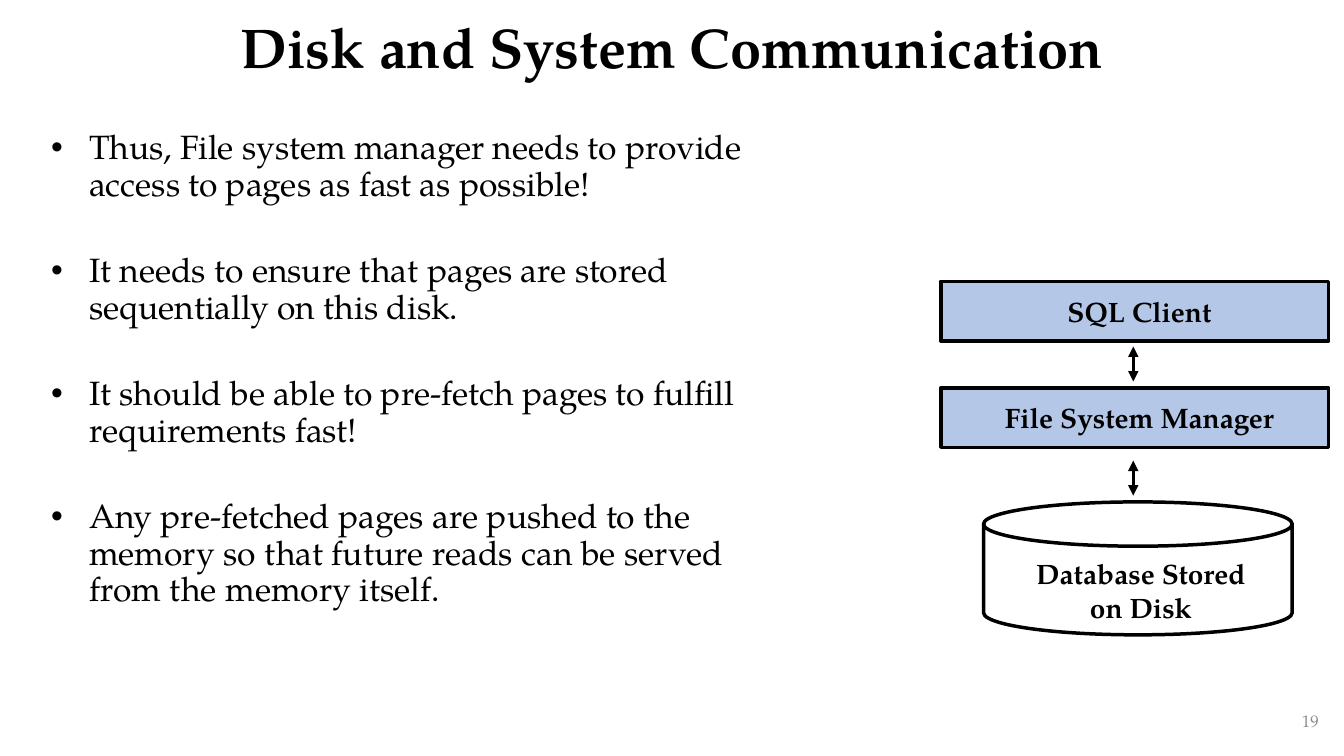
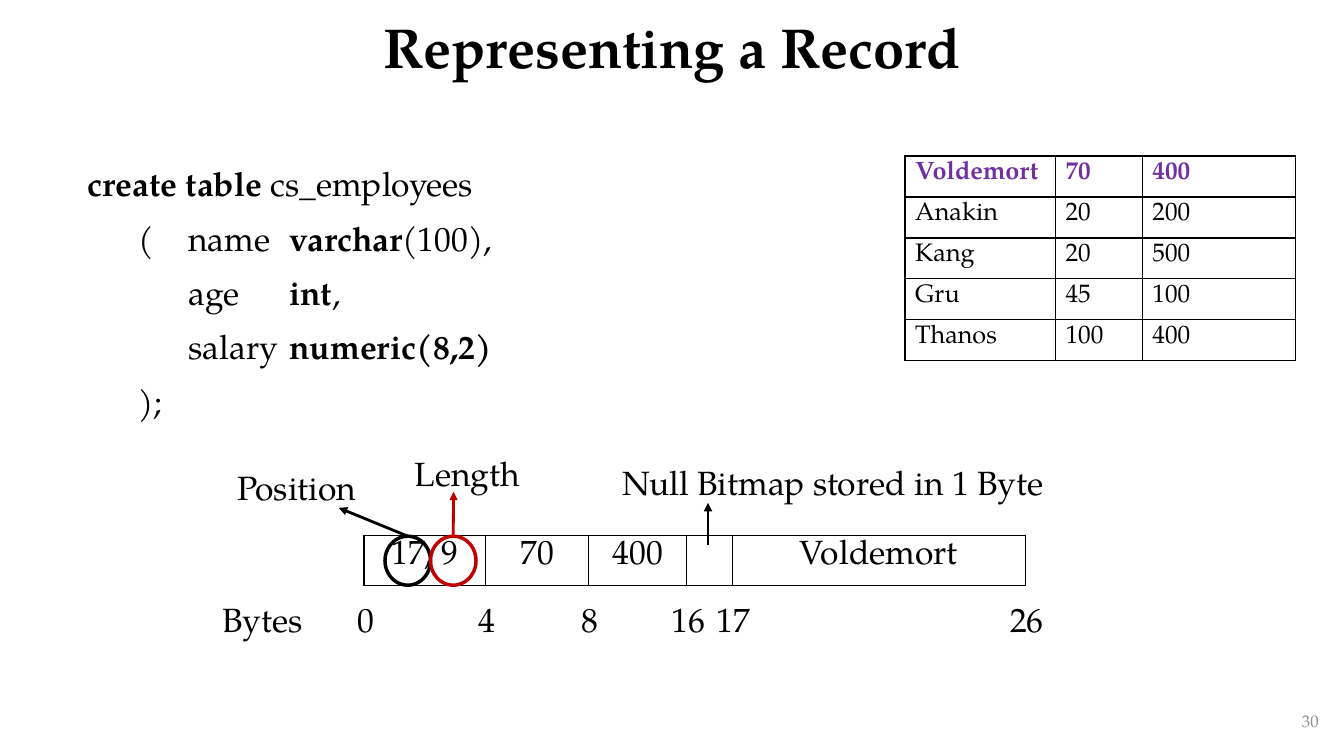
from dataclasses import dataclass
from itertools import accumulate

from lxml.etree import SubElement
from pptx import Presentation
from pptx.dml.color import RGBColor
from pptx.enum.shapes import MSO_CONNECTOR, MSO_SHAPE
from pptx.enum.text import MSO_ANCHOR, PP_ALIGN
from pptx.oxml.ns import qn
from pptx.util import Pt


@dataclass(frozen=True)
class Theme:
    font: str = "TeX Gyre Pagella"
    ink: str = "000000"
    pale: str = "B4C7E7"
    red: str = "C00000"
    violet: str = "7030A0"
    gray: str = "8C8C8C"
    title: int = 40
    body: int = 24
    node: int = 20
    cell: int = 18
    foot: int = 12
    edge: float = 2.5
    arrow: float = 2


T = Theme()


# Shared helpers
def style(para, size, color=T.ink, bold=False, align=None):
    para.alignment = align
    for run in para.runs:
        font = run.font
        font.name, font.size, font.bold = T.font, Pt(size), bold
        font.color.rgb = RGBColor.from_string(color)


def frame(slide, box, anchor=MSO_ANCHOR.TOP, wrap=True):
    area = slide.shapes.add_textbox(*map(Pt, box)).text_frame
    area.word_wrap, area.vertical_anchor = wrap, anchor
    return area


def text(slide, box, words, size, align=PP_ALIGN.CENTER,
         color=T.ink, bold=False, anchor=MSO_ANCHOR.TOP, wrap=True):
    area = frame(slide, box, anchor, wrap)
    area.text = words
    style(area.paragraphs[0], size, color, bold, align)
    return area


def label(slide, mid, top, words, width=100):
    text(slide, (mid - width / 2, top, width, 36), words, T.body, wrap=False)


def shape(slide, kind, box, fill=None, line=T.ink):
    item = slide.shapes.add_shape(kind, *map(Pt, box))
    item.shadow.inherit = False
    if fill:
        item.fill.solid()
        item.fill.fore_color.rgb = RGBColor.from_string(fill)
    else:
        item.fill.background()
    item.line.color.rgb = RGBColor.from_string(line)
    item.line.width = Pt(T.edge)
    return item


def arrow(slide, start, end, color=T.ink, width=T.arrow, both=False, source=None):
    link = slide.shapes.add_connector(
        MSO_CONNECTOR.STRAIGHT, *map(Pt, (*start, *end)))
    if source is not None:
        link.begin_connect(source, 0)
    link.line.color.rgb = RGBColor.from_string(color)
    link.line.width = Pt(width)
    props = link._element.spPr
    line = props.find(qn("a:ln"))
    for tag in ("a:headEnd", "a:tailEnd") if both else ("a:tailEnd",):
        SubElement(line, qn(tag), type="triangle")
    SubElement(props, qn("a:effectLst"))


def border(cell):
    props = cell._tc.get_or_add_tcPr()
    for side in "LRTB":
        line = SubElement(props, qn(f"a:ln{side}"), w=str(Pt(1)))
        fill = SubElement(line, qn("a:solidFill"))
        SubElement(fill, qn("a:srgbClr"), val=T.ink)
    cell.fill.background()


def grid(slide, spot, cols, high, rows, size, align=None, top=None):
    """Draw a bordered table; top is the colour of a bold first row."""
    box = (*spot, sum(cols), high * len(rows))
    table = slide.shapes.add_table(len(rows), len(cols), *map(Pt, box)).table
    table.first_row = table.horz_banding = False
    for col, width in zip(table.columns, cols):
        col.width = Pt(width)
    for r, row in enumerate(rows):
        head = top is not None and r == 0
        for c, words in enumerate(row):
            cell = table.cell(r, c)
            cell.text = words
            border(cell)
            style(cell.text_frame.paragraphs[0], size,
                  top if head else T.ink, head, align)


def base(deck, title, number):
    slide = deck.slides.add_slide(deck.slide_layouts[6])
    area = text(slide, (66, 0, 828, 71.5), title, T.title, bold=True,
                anchor=MSO_ANCHOR.MIDDLE)
    area.paragraphs[0].line_spacing = 0.9
    text(slide, (733, 500.5, 216, 28.75), number, T.foot, PP_ALIGN.RIGHT,
         T.gray, anchor=MSO_ANCHOR.MIDDLE)
    return slide


# Slide 1 regions
def points(slide, box, items):
    area = frame(slide, box)
    area.text = "\n".join(items)
    for para in area.paragraphs:
        style(para, T.body)
        para.line_spacing = 0.9
        para.space_before, para.space_after = Pt(5), Pt(31)
        props = para._p.get_or_add_pPr()
        props.set("marL", str(Pt(27)))
        props.set("indent", str(Pt(-27)))
        SubElement(props, qn("a:buFont"), typeface="Arial")
        SubElement(props, qn("a:buChar"), char="•")


def stack(slide, box, names, store):
    left, top, width, high = box
    step, tall, disk = 76, 42.5, 95
    mid = left + width / 2

    # Software layers
    for i, name in enumerate(names):
        node = shape(slide, MSO_SHAPE.RECTANGLE,
                     (left, top + i * step, width, tall), T.pale)
        area = node.text_frame
        area.margin_left = Pt(14)
        area.vertical_anchor = MSO_ANCHOR.MIDDLE
        area.text = name
        style(area.paragraphs[0], T.node, bold=True, align=PP_ALIGN.CENTER)

    # Disk
    base_y = top + high - disk
    shape(slide, MSO_SHAPE.FLOWCHART_MAGNETIC_DISK,
          (left + 30.5, base_y, 220.5, disk))
    text(slide, (left + 61, base_y + 35.5, 164, 55), store, T.node, bold=True)

    # Two-way arrows, each ending just above the next part
    for goal in (top + step, base_y):
        arrow(slide, (mid - 1, goal - 29.5), (mid - 1, goal - 4.5),
              width=T.edge, both=True)


# Slide 2 regions
def code(slide, box, lines):
    area = frame(slide, box)
    for i, parts in enumerate(lines):
        para = area.paragraphs[0] if i == 0 else area.add_paragraph()
        for words, _ in parts:
            para.add_run().text = words
        style(para, T.body, align=PP_ALIGN.JUSTIFY)
        para.space_before = Pt(10)
        for run, (_, bold) in zip(para.runs, parts):
            run.font.bold = bold


def record(slide, spot, cols, cells, bytes_at):
    left, top = spot
    grid(slide, spot, cols, 36, [cells], T.body, PP_ALIGN.CENTER)

    # Byte offsets under the column edges
    label(slide, left - 72.5, top + 42, "Bytes")
    edges = list(accumulate(cols, initial=left))
    for edge, count in zip(edges, bytes_at):
        label(slide, edge + 1, top + 42, count, 40)

    # Circled position and length
    marks = [("Position", 15, T.ink, (-48, -52), (-18, -19.5)),
             ("Length", 47.5, T.red, (74, -62.5), (64, -31))]
    for name, shift, color, (dx, dy), (tx, ty) in marks:
        ring = shape(slide, MSO_SHAPE.OVAL,
                     (left + shift, top + 0.75, 32.5, 35), line=color)
        label(slide, left + dx, top + dy, name)
        arrow(slide, (left + shift + 16, top), (left + tx, top + ty),
              color, source=ring)

    # Null bitmap
    label(slide, left + 335, top - 56, "Null Bitmap stored in 1 Byte", 320)
    mid = (edges[3] + edges[4]) / 2 - 1
    arrow(slide, (mid, top + 7), (mid, top - 23))


def main():
    deck = Presentation()
    deck.slide_width, deck.slide_height = Pt(960), Pt(540)

    slide = base(deck, "Disk and System Communication", "19")
    points(slide, (29.5, 90, 541.5, 440), [
        "Thus, File system manager needs to provide access to pages "
        "as fast as possible!",
        "It needs to ensure that pages are stored sequentially on this disk.",
        "It should be able to pre-fetch pages to fulfill requirements fast!",
        "Any pre-fetched pages are pushed to the memory so that future reads "
        "can be served from the memory itself."])
    stack(slide, (672, 201, 277, 252.5),
          ["SQL Client", "File System Manager"], "Database Stored on Disk")

    slide = base(deck, "Representing a Record", "30")
    code(slide, (55.5, 113, 870.5, 391), [
        [("create table ", True), ("cs_employees", False)],
        [("\t(\tname\t", False), ("varchar", True), ("(100),", False)],
        [("\t\tage\t", False), ("int", True), (",", False)],
        [("\t\tsalary\t", False), ("numeric(8,2)", True)],
        [("\t);", False)]])
    grid(slide, (646.5, 111.5), (107.5, 62, 109.5), 29.25, [
        ("Voldemort", "70", "400"),
        ("Anakin", "20", "200"),
        ("Kang", "20", "500"),
        ("Gru", "45", "100"),
        ("Thanos", "100", "400")], T.cell, top=T.violet)
    record(slide, (260, 382.25), (87, 73.5, 70, 32.5, 209.5),
           ("17, 9", "70", "400", "", "Voldemort"),
           ("0", "4", "8", "16", "17", "26"))

    deck.save("out.pptx")


if __name__ == "__main__":
    main()
